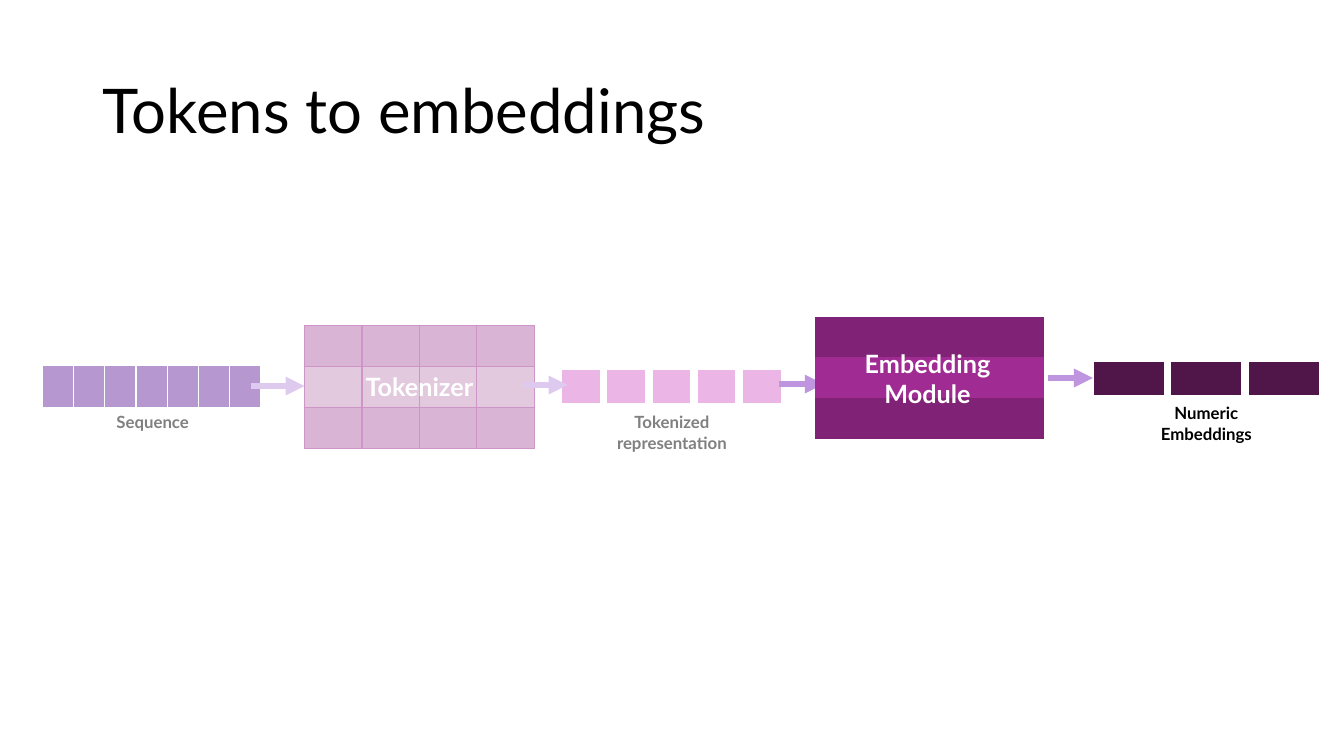
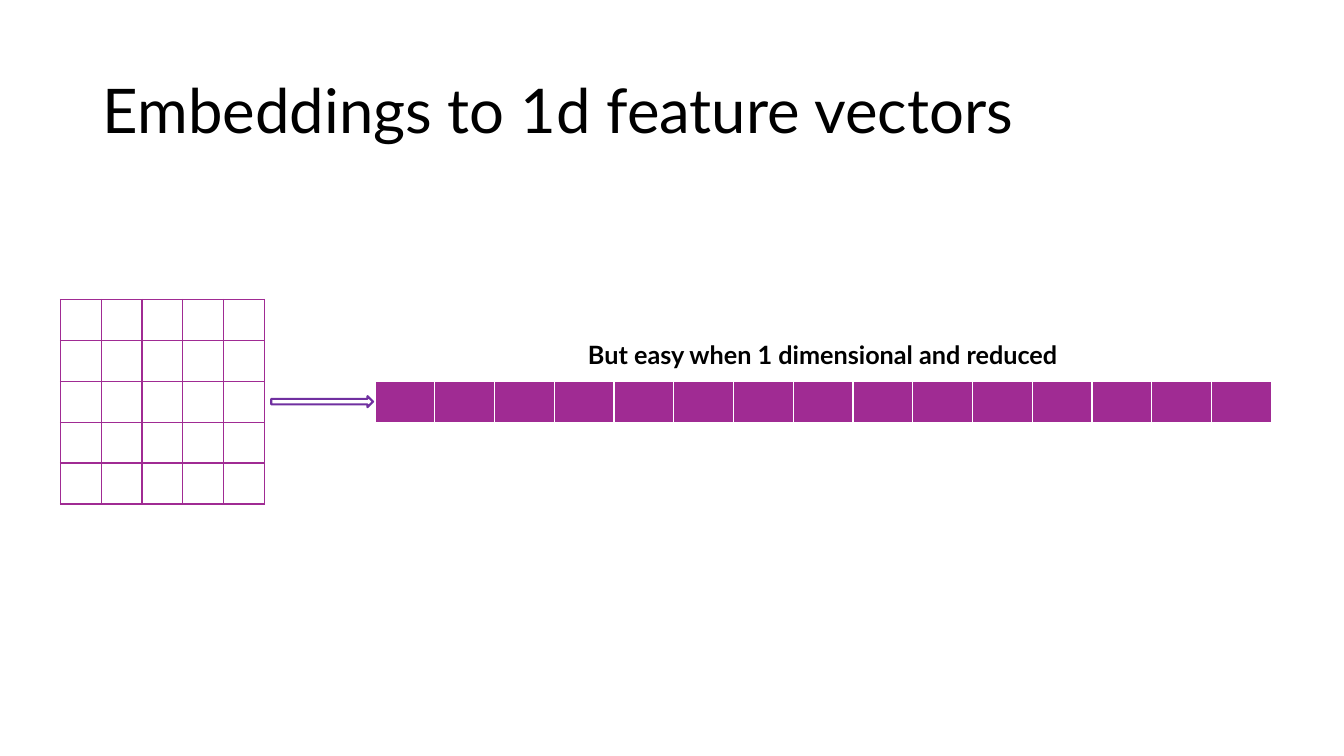
from lxml import etree
from pptx import Presentation
from pptx import util as u
from pptx.dml.color import RGBColor
from pptx.enum import shapes, text
from pptx.oxml.ns import qn

PX = 9144
FONT = "Lato"
NO_STYLE = "{2D5ABB26-0587-4C30-8999-92F81FD0307C}"
BLACK = RGBColor(0x00, 0x00, 0x00)
WHITE = RGBColor(0xFF, 0xFF, 0xFF)
VIOLET = RGBColor(0x70, 0x30, 0xA0)
LILAC = RGBColor(0xBF, 0x95, 0xDF)
MAGENTA = RGBColor(0xA0, 0x2B, 0x93)
DARK_MAGENTA = RGBColor(0x80, 0x22, 0x76)
PLUM = RGBColor(0x50, 0x16, 0x49)
PINK = RGBColor(0xD8, 0x6E, 0xCC)
ORCHID = RGBColor(0xB3, 0x69, 0xAB)
PALE_ORCHID = RGBColor(0xC5, 0x93, 0xBD)


def px(*values):
    return [u.Emu(v * PX) for v in values]


def write(tf, words, size, color=BLACK, bold=True, align=text.PP_ALIGN.CENTER):
    tf.text = words
    for p in tf.paragraphs:
        p.alignment = align
        for r in p.runs:
            r.font.name = FONT
            r.font.size = u.Pt(size)
            r.font.bold = bold
            r.font.color.rgb = color


def add_slide(prs, title):
    s = prs.slides.add_slide(prs.slide_layouts[5])
    sp = s.shapes.title
    sp.left, sp.top, sp.width, sp.height = px(92, 40, 1150, 145)
    tf = sp.text_frame
    write(tf, title, 44, bold=False, align=text.PP_ALIGN.LEFT)
    tf.vertical_anchor = text.MSO_ANCHOR.MIDDLE
    tf.paragraphs[0].line_spacing = 0.9
    return s


def add_border(cell, color, width):
    tcPr = cell._tc.get_or_add_tcPr()
    for i, side in enumerate(("lnL", "lnR", "lnT", "lnB")):
        ln = etree.Element(qn(f"a:{side}"), w=str(u.Pt(width)))
        fill = etree.SubElement(ln, qn("a:solidFill"))
        etree.SubElement(fill, qn("a:srgbClr"), val=str(color))
        tcPr.insert(i, ln)


def add_grid(s, left, top, width, height, cols, row_fills, border=None, weight=1):
    rows = len(row_fills)
    table = s.shapes.add_table(rows, cols, *px(left, top, width, height)).table
    table.first_row = table.horz_banding = False
    table._tbl.tblPr.find(qn("a:tableStyleId")).text = NO_STYLE
    for row, color in zip(table.rows, row_fills):
        for cell in row.cells:
            cell.margin_top = cell.margin_bottom = 0
            if color is None:
                cell.fill.background()
            else:
                cell.fill.solid()
                cell.fill.fore_color.rgb = color
            if border is not None:
                add_border(cell, border, weight)


def add_shape(s, kind, left, top, width, height, fill=None, line=None):
    sp = s.shapes.add_shape(kind, *px(left, top, width, height))
    sp.shadow.inherit = False
    if fill is None:
        sp.fill.background()
    else:
        sp.fill.solid()
        sp.fill.fore_color.rgb = fill
    if line is None:
        sp.line.fill.background()
    else:
        sp.line.color.rgb = line
        sp.line.width = u.Pt(1.5)
    return sp


def add_module_name(s, left, top, words):
    sp = add_shape(s, shapes.MSO_SHAPE.ROUNDED_RECTANGLE, left, top, 250, 175)
    write(sp.text_frame, words, 18, WHITE)
    sp.text_frame.vertical_anchor = text.MSO_ANCHOR.MIDDLE


def add_veil(s, left, top, width, height):
    sp = add_shape(s, shapes.MSO_SHAPE.RECTANGLE, left, top, width, height, WHITE)
    clr = sp._element.spPr.find(qn("a:solidFill"))[0]
    etree.SubElement(clr, qn("a:alpha"), val="50000")


def add_label(s, left, top, width, height, words, size=12):
    tf = s.shapes.add_textbox(*px(left, top, width, height)).text_frame
    tf.word_wrap = False
    write(tf, words, size)


def add_arrow(s, x1, x2, y):
    c = s.shapes.add_connector(shapes.MSO_CONNECTOR.STRAIGHT, *px(x1, y, x2, y))
    c.line.color.rgb = LILAC
    c.line.width = u.Pt(4.5)
    etree.SubElement(c.line._get_or_add_ln(), qn("a:tailEnd"), type="triangle")
    etree.SubElement(c._element.spPr, qn("a:effectLst"))


def build_tokens(prs):
    s = add_slide(prs, "Tokens to embeddings")
    add_grid(s, 42, 363, 217, 41, 7, [VIOLET], WHITE)
    add_grid(s, 302, 323, 228, 122, 4, [ORCHID, PALE_ORCHID, ORCHID], MAGENTA)
    add_module_name(s, 291, 296, "Tokenizer")
    add_grid(s, 554, 363, 224, 41, 5, [PINK], WHITE, 6)
    add_arrow(s, 249, 302, 383)
    add_arrow(s, 519, 563, 382)
    add_label(s, 103, 404, 97, 30, "Sequence")
    add_label(s, 600, 404, 133, 50, "Tokenized\nrepresentation")
    add_veil(s, 22, 233, 1290, 325)
    add_arrow(s, 773, 817, 381)
    add_grid(s, 808, 314, 228, 122, 4, [DARK_MAGENTA, MAGENTA, DARK_MAGENTA])
    add_module_name(s, 795, 288, "Embedding\nModule")
    add_grid(s, 1081, 355, 231, 41, 3, [PLUM], WHITE, 6)
    add_arrow(s, 1039, 1084, 375)
    add_label(s, 1139, 395, 115, 50, "Numeric\nEmbeddings")


def build_vectors(prs):
    s = add_slide(prs, "Embeddings to 1d feature vectors")
    add_grid(s, 60, 297, 202, 203, 5, [None] * 5, MAGENTA)
    add_grid(s, 372, 378, 889, 41, 15, [MAGENTA], WHITE)
    add_label(s, 566, 332, 500, 40, "But easy when 1 dimensional and reduced", 18)
    add_shape(s, shapes.MSO_SHAPE.RIGHT_ARROW, 269, 393, 101, 11, WHITE, VIOLET)


def main():
    prs = Presentation()
    prs.slide_width, prs.slide_height = px(1333, 750)
    build_tokens(prs)
    build_vectors(prs)
    prs.save("out.pptx")


if __name__ == "__main__":
    main()
